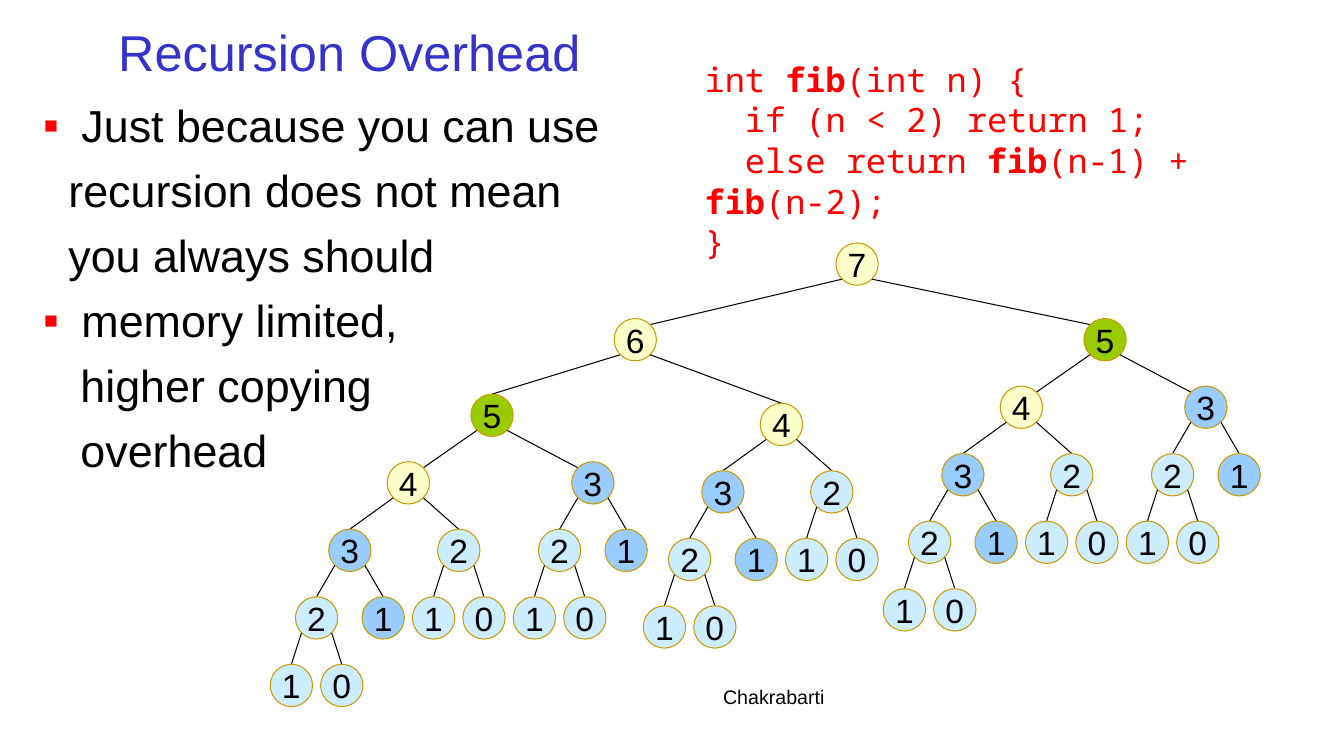
from dataclasses import dataclass
from typing import Optional

from lxml.etree import SubElement
from pptx import Presentation
from pptx.dml.color import RGBColor
from pptx.enum.shapes import MSO_CONNECTOR, MSO_SHAPE
from pptx.enum.text import MSO_ANCHOR, PP_ALIGN
from pptx.oxml.ns import qn
from pptx.slide import Slide
from pptx.text.text import TextFrame
from pptx.util import Inches, Pt

BLACK = RGBColor(0x00, 0x00, 0x00)
RED = RGBColor(0xFF, 0x00, 0x00)
INDIGO = RGBColor(0x33, 0x33, 0xCC)
GOLD = RGBColor(0xCC, 0x99, 0x00)
CREAM = RGBColor(0xFF, 0xFF, 0xCC)
GREEN = RGBColor(0x99, 0xCC, 0x00)
BLUE = RGBColor(0x99, 0xCC, 0xFF)
PALE = RGBColor(0xCC, 0xEC, 0xFF)

SANS = "Arial"
MONO = "Noto Sans Mono"
SIZE = 0.42
INSET = 0.06
FILLS = {7: CREAM, 6: CREAM, 5: GREEN, 4: CREAM, 3: BLUE, 2: PALE, 1: PALE, 0: PALE}


@dataclass(frozen=True)
class Font:
    name: str
    size: float
    color: RGBColor


@dataclass(frozen=True)
class Line:
    runs: tuple[str, ...]
    margin: float = 0
    indent: float = 0
    bullet: str = ""


@dataclass(frozen=True)
class Block:
    left: float
    top: float
    width: float
    height: float
    font: Font
    lines: tuple[Line, ...]
    align: PP_ALIGN = PP_ALIGN.LEFT
    anchor: MSO_ANCHOR = MSO_ANCHOR.TOP
    before: float = 0
    pitch: Optional[float] = None


@dataclass(frozen=True)
class Branch:
    left: float
    right: float
    left_drop: float = 0.67
    right_drop: float = 0.67
    corner: bool = False


BRANCHES = {
    7: Branch(-2.2, 2.46, 0.75, 0.75, True),
    6: Branch(-1.42, 1.45, 0.75, 0.84),
    5: Branch(-0.83, 1, corner=True),
    4: Branch(-0.58, 0.5),
    3: Branch(-0.33, 0.33),
    2: Branch(-0.25, 0.25),
}

BLOCKS = (
    Block(6.09, 6.75, 3.17, 0.25, Font(SANS, 14, BLACK),
          (Line(("Chakrabarti",)),), PP_ALIGN.CENTER),
    Block(0.33, 0.17, 6.27, 0.67, Font(SANS, 36, INDIGO),
          (Line(("Recursion Overhead",)),), PP_ALIGN.CENTER, MSO_ANCHOR.MIDDLE),
    Block(0.33, 0.92, 12.67, 6.25, Font(SANS, 32, BLACK), (
        Line(("Just because you can use",), 0.38, -0.38, "▪"),
        Line(("recursion does not mean",), 0.25),
        Line(("you always should",), 0.25),
        Line(("memory limited,",), 0.38, -0.38, "▪"),
        Line(("higher copying",), 0.37),
        Line(("overhead",), 0.37),
    ), before=8),
    Block(6.89, 0.53, 6.52, 1.72, Font(MONO, 24, RED), (
        Line(("int ", "fib", "(int n) {")),
        Line(("if (n < 2) return 1;",), indent=0.4),
        Line(("else return ", "fib", "(n-1) + ", "fib", "(n-2);"), indent=0.4),
        Line(("}",)),
    ), pitch=29),
)


def add_line(frame: TextFrame, line: Line, block: Block, first: bool) -> None:
    para = frame.paragraphs[0] if first else frame.add_paragraph()
    para.alignment = block.align
    para.space_before = Pt(block.before)
    if block.pitch:
        para.line_spacing = Pt(block.pitch)
    props = para._p.get_or_add_pPr()
    props.set("marL", str(Inches(line.margin)))
    props.set("indent", str(Inches(line.indent)))
    if line.bullet:
        tint = SubElement(props, qn("a:buClr"))
        SubElement(tint, qn("a:srgbClr")).set("val", str(RED))
        SubElement(props, qn("a:buFont")).set("typeface", SANS)
        SubElement(props, qn("a:buChar")).set("char", line.bullet)
    for text in line.runs:
        run = para.add_run()
        run.text = text
        run.font.name = block.font.name
        run.font.size = Pt(block.font.size)
        run.font.color.rgb = block.font.color
        run.font.bold = text == "fib"


def add_block(slide: Slide, block: Block) -> None:
    box = slide.shapes.add_textbox(Inches(block.left), Inches(block.top),
                                   Inches(block.width), Inches(block.height))
    frame = box.text_frame
    frame.word_wrap = True
    frame.vertical_anchor = block.anchor
    for spot, line in enumerate(block.lines):
        add_line(frame, line, block, spot == 0)


def add_node(slide: Slide, value: int, left: float, top: float, fill: RGBColor) -> None:
    node = slide.shapes.add_shape(MSO_SHAPE.OVAL, Inches(left), Inches(top),
                                  Inches(SIZE), Inches(SIZE))
    node.shadow.inherit = False
    node.fill.solid()
    node.fill.fore_color.rgb = fill
    node.line.color.rgb = GOLD
    node.line.width = Pt(0.75)
    frame = node.text_frame
    frame.word_wrap = False
    frame.vertical_anchor = MSO_ANCHOR.MIDDLE
    para = frame.paragraphs[0]
    para.alignment = PP_ALIGN.CENTER
    run = para.add_run()
    run.text = str(value)
    run.font.name = SANS
    run.font.size = Pt(24)
    run.font.color.rgb = BLACK


def add_edge(slide: Slide, x1: float, y1: float, x2: float, y2: float) -> None:
    edge = slide.shapes.add_connector(MSO_CONNECTOR.STRAIGHT, Inches(x1), Inches(y1),
                                      Inches(x2), Inches(y2))
    edge.line.color.rgb = BLACK
    edge.line.width = Pt(0.75)
    SubElement(edge._element.spPr, qn("a:effectLst"))


def add_tree(slide: Slide, value: int, left: float, top: float, parent: int = 0) -> None:
    fill = BLUE if (value, parent) == (1, 3) else FILLS[value]
    add_node(slide, value, left, top, fill)
    if value < 2:
        return
    branch = BRANCHES[value]
    near, far = INSET, SIZE - INSET
    sides = ((value - 1, branch.left, branch.left_drop, near, far),
             (value - 2, branch.right, branch.right_drop, far, near))
    for child, shift, drop, start, end in sides:
        x, y = left + shift, top + drop
        if branch.corner:
            add_edge(slide, left + start, top + far, x + end, y + near)
        else:
            add_edge(slide, left + start, top + far, x + SIZE / 2, y)
        add_tree(slide, child, x, y, value)


def main() -> None:
    deck = Presentation()
    deck.slide_width = Inches(13.33)
    deck.slide_height = Inches(7.5)
    slide = deck.slides.add_slide(deck.slide_layouts[6])
    for block in BLOCKS:
        add_block(slide, block)
    add_tree(slide, 7, 8.29, 2.41)
    deck.save("out.pptx")


if __name__ == "__main__":
    main()
